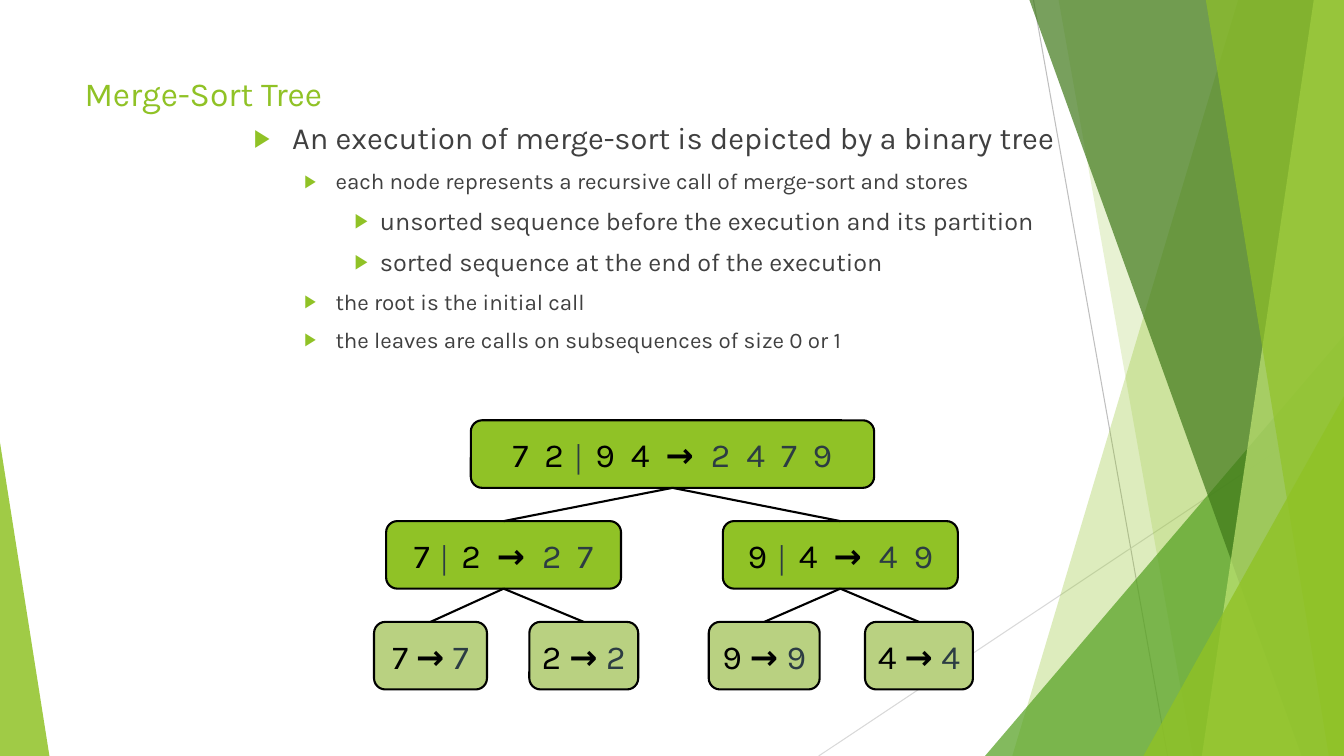
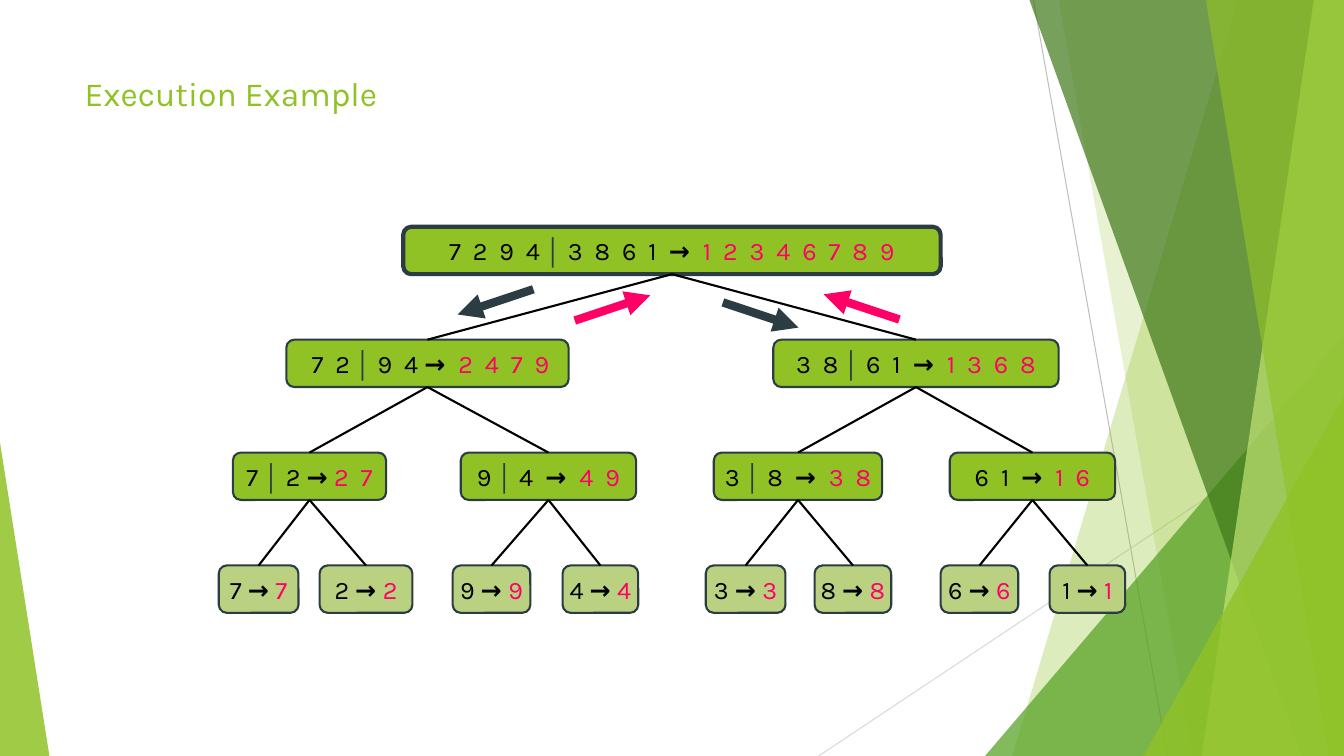
from lxml.etree import SubElement
from pptx import Presentation
from pptx.dml.color import RGBColor
from pptx.enum.shapes import MSO_CONNECTOR, MSO_SHAPE
from pptx.enum.text import MSO_ANCHOR, PP_ALIGN
from pptx.oxml.ns import qn
from pptx.util import Inches, Pt

# Shared look
WIDTH, HEIGHT = 13.33, 7.5
FONT, BAR_FONT = "Karla", "Arial"
GREEN, LEAF, BODY = "90C226", "B9D181", "404040"
BLACK, SLATE, PINK = "000000", "2C3C43", "FF0066"

# Left margin, hanging indent and text size of each outline level
OUTLINE = [(0.38, 0.38, 22), (0.81, 0.31, 16), (1.25, 0.25, 18)]

# Backdrop: x at the top and bottom of each band that runs to the right edge
BACK_BANDS = [(12.28, 10.04, GREEN, 30), (10.5, 11.83, GREEN, 20)]
FRONT_BANDS = [(10.21, 12.91, "3F7819", 70), (13.03, 11.92, "C0E474", 70),
               (11.96, 13.18, GREEN, 65)]

MERGE_POINTS = [
    (0, "An execution of merge-sort is depicted by a binary tree"),
    (1, "each node represents a recursive call of merge-sort and stores"),
    (2, "unsorted sequence before the execution and its partition"),
    (2, "sorted sequence at the end of the execution"),
    (1, "the root is the initial call"),
    (1, "the leaves are calls on subsequences of size 0 or 1"),
]

# Trees: one list per level, each node as left, width, label
MERGE_TREE = [
    [(4.67, 4, "7  2 │ 9  4  →  2  4  7  9")],
    [(3.83, 2.33, "7 │ 2  →  2  7"), (7.17, 2.33, "9 │ 4  →  4  9")],
    [(3.71, 1.12, "7 → 7"), (5.25, 1.08, "2 → 2"),
     (7.03, 1.1, "9 → 9"), (8.58, 1.07, "4 → 4")],
]
EXECUTION_TREE = [
    [(4, 5.33, "7  2  9  4 │ 3  8  6  1  →  1  2  3  4  6  7  8  9")],
    [(2.84, 2.8, " 7  2 │ 9  4 →  2  4  7  9"),
     (7.67, 2.83, "3  8 │ 6  1  →  1  3  6  8")],
    [(2.31, 1.52, "7 │ 2 → 2  7"), (4.57, 1.74, "9 │ 4  →  4  9"),
     (7.08, 1.67, "3 │ 8  →  3  8"), (9.42, 1.64, "6  1  →  1  6")],
    [(2.17, 0.79, "7 → 7"), (3.17, 0.92, "2 → 2"),
     (4.49, 0.77, "9 → 9"), (5.58, 0.75, "4 → 4"),
     (7, 0.79, "3 → 3"), (8.08, 0.76, "8 → 8"),
     (9.33, 0.77, "6 → 6"), (10.41, 0.75, "1 → 1")],
]

# Calls go down the tree, results come back up: start, tip, colour
FLOW_ARROWS = [
    ((5.29, 2.87), (4.54, 3.12), SLATE),
    ((8.92, 3.17), (8.17, 2.92), PINK),
    ((5.7, 3.18), (6.45, 2.93), PINK),
    ((7.17, 3), (7.92, 3.25), SLATE),
]


def rgb(color):
    return RGBColor.from_string(color)


def paint(shape, color, opacity=100):
    """Fill a shape that has no outline and no shadow."""
    shape.shadow.inherit = False
    shape.fill.solid()
    shape.fill.fore_color.rgb = rgb(color)
    shape.line.fill.background()
    if opacity < 100:
        fill_color = shape._element.spPr.find(".//" + qn("a:srgbClr"))
        SubElement(fill_color, qn("a:alpha"), val=str(opacity * 1000))


def add_run(paragraph, text, size, color, font=FONT, bold=False):
    run = paragraph.add_run()
    run.text = text
    run.font.name, run.font.size, run.font.bold = font, Pt(size), bold
    run.font.color.rgb = rgb(color)


def add_line(slide, start, end, color, weight):
    line = slide.shapes.add_connector(
        MSO_CONNECTOR.STRAIGHT, *(Inches(value) for value in (*start, *end)))
    line.line.color.rgb = rgb(color)
    line.line.width = Pt(weight)
    SubElement(line._element.spPr, qn("a:effectLst"))
    return line


def add_arrow(slide, start, tip, color):
    arrow = add_line(slide, start, tip, color, 6)
    outline = arrow._element.spPr.find(qn("a:ln"))
    SubElement(outline, qn("a:tailEnd"), type="triangle")


def add_band(slide, top_x, bottom_x, color, opacity):
    outline = slide.shapes.build_freeform(Inches(top_x), 0)
    corners = [(WIDTH, 0), (WIDTH, HEIGHT), (bottom_x, HEIGHT)]
    outline.add_line_segments([(Inches(x), Inches(y)) for x, y in corners])
    paint(outline.convert_to_shape(), color, opacity)


def add_corner(slide, left, top, width, apex, color, opacity):
    """Triangle that stands on the bottom edge of the slide."""
    corner = slide.shapes.add_shape(
        MSO_SHAPE.ISOSCELES_TRIANGLE, Inches(left), Inches(top),
        Inches(width), Inches(HEIGHT - top))
    corner.adjustments[0] = apex
    paint(corner, color, opacity)


def add_backdrop(slide):
    add_line(slide, (10.25, 0), (11.58, HEIGHT), "BFBFBF", 0.75)
    add_line(slide, (WIDTH, 4.03), (8.12, HEIGHT), "D9D9D9", 0.75)
    for band in BACK_BANDS:
        add_band(slide, *band)
    add_corner(slide, 9.77, 3.33, 3.56, 1, "54A021", 72)
    for band in FRONT_BANDS:
        add_band(slide, *band)
    add_corner(slide, 11.34, 3.93, 1.99, 1, GREEN, 80)
    add_corner(slide, 0, 4.39, 0.49, 0, GREEN, 85)


def add_text_frame(slide, *place):
    box = slide.shapes.add_textbox(*(Inches(value) for value in place))
    box.text_frame.word_wrap = True
    return box.text_frame


def start_slide(deck, title):
    slide = deck.slides.add_slide(deck.slide_layouts[6])
    add_backdrop(slide)
    heading = add_text_frame(slide, 0.74, 0.67, 9.4, 1.44)
    add_run(heading.paragraphs[0], title, 24, GREEN)
    return slide


def add_bullet(paragraph, margin, hanging):
    properties = paragraph._p.get_or_add_pPr()
    properties.set("marL", str(Inches(margin)))
    properties.set("indent", str(-Inches(hanging)))
    color = SubElement(properties, qn("a:buClr"))
    SubElement(color, qn("a:srgbClr"), val=GREEN)
    SubElement(properties, qn("a:buSzPct"), val="80000")
    SubElement(properties, qn("a:buFont"), typeface="Arial")
    SubElement(properties, qn("a:buChar"), char="▶")


def add_outline(slide, points):
    frame = add_text_frame(slide, 2.42, 1.17, 8.83, 2.74)
    for index, (level, text) in enumerate(points):
        paragraph = frame.add_paragraph() if index else frame.paragraphs[0]
        margin, hanging, size = OUTLINE[level]
        paragraph.level = level
        add_bullet(paragraph, margin, hanging)
        paragraph.line_spacing = 0.9
        paragraph.space_before = Pt(10 if index else 0)
        add_run(paragraph, text, size, BODY)


def add_label(paragraph, label, size, result_color):
    """Write unsorted input, partition bar, arrow and sorted result."""
    unsorted, _, result = label.partition("→")
    left, bar, right = unsorted.partition("│")
    add_run(paragraph, left, size, BLACK)
    if bar:
        add_run(paragraph, bar, 18, SLATE, BAR_FONT, bold=True)
        add_run(paragraph, right, size, BLACK)
    sorted_part = result.lstrip()
    gap = result[:len(result) - len(sorted_part)]
    add_run(paragraph, "→" + gap, size, BLACK, bold=True)
    add_run(paragraph, sorted_part, size, result_color)


def add_node(slide, place, label, size, fill, border, weight, result_color):
    node = slide.shapes.add_shape(
        MSO_SHAPE.ROUNDED_RECTANGLE, *(Inches(value) for value in place))
    paint(node, fill)
    node.line.color.rgb = rgb(border)
    node.line.width = Pt(weight)
    frame = node.text_frame
    frame.word_wrap = False
    frame.vertical_anchor = MSO_ANCHOR.MIDDLE
    frame.paragraphs[0].alignment = PP_ALIGN.CENTER
    add_label(frame.paragraphs[0], label, size, result_color)
    return node


def add_tree(slide, levels, top, step, height, size, border, result_color,
             root_weight=1.5):
    """Draw a binary tree and join each node to its parent."""
    parents = []
    for depth, level in enumerate(levels):
        fill = LEAF if depth == len(levels) - 1 else GREEN
        weight = 1.5 if depth else root_weight
        nodes = [add_node(slide, (left, top + depth * step, width, height),
                          label, size, fill, border, weight, result_color)
                 for left, width, label in level]
        if parents:
            for index, node in enumerate(nodes):
                branch = add_line(slide, (0, 0), (0, 0), BLACK, 1.5)
                branch.begin_connect(parents[index // 2], 2)
                branch.end_connect(node, 0)
        parents = nodes


def main():
    deck = Presentation()
    deck.slide_width, deck.slide_height = Inches(WIDTH), Inches(HEIGHT)

    # Merge-sort tree
    slide = start_slide(deck, "Merge-Sort Tree")
    add_outline(slide, MERGE_POINTS)
    add_tree(slide, MERGE_TREE, 4.17, 1, 0.67, 24, BLACK, SLATE)

    # Execution example
    slide = start_slide(deck, "Execution Example")
    add_tree(slide, EXECUTION_TREE, 2.25, 1.12, 0.47, 18, SLATE, PINK,
             root_weight=3)
    for arrow in FLOW_ARROWS:
        add_arrow(slide, *arrow)

    deck.save("out.pptx")


if __name__ == "__main__":
    main()
